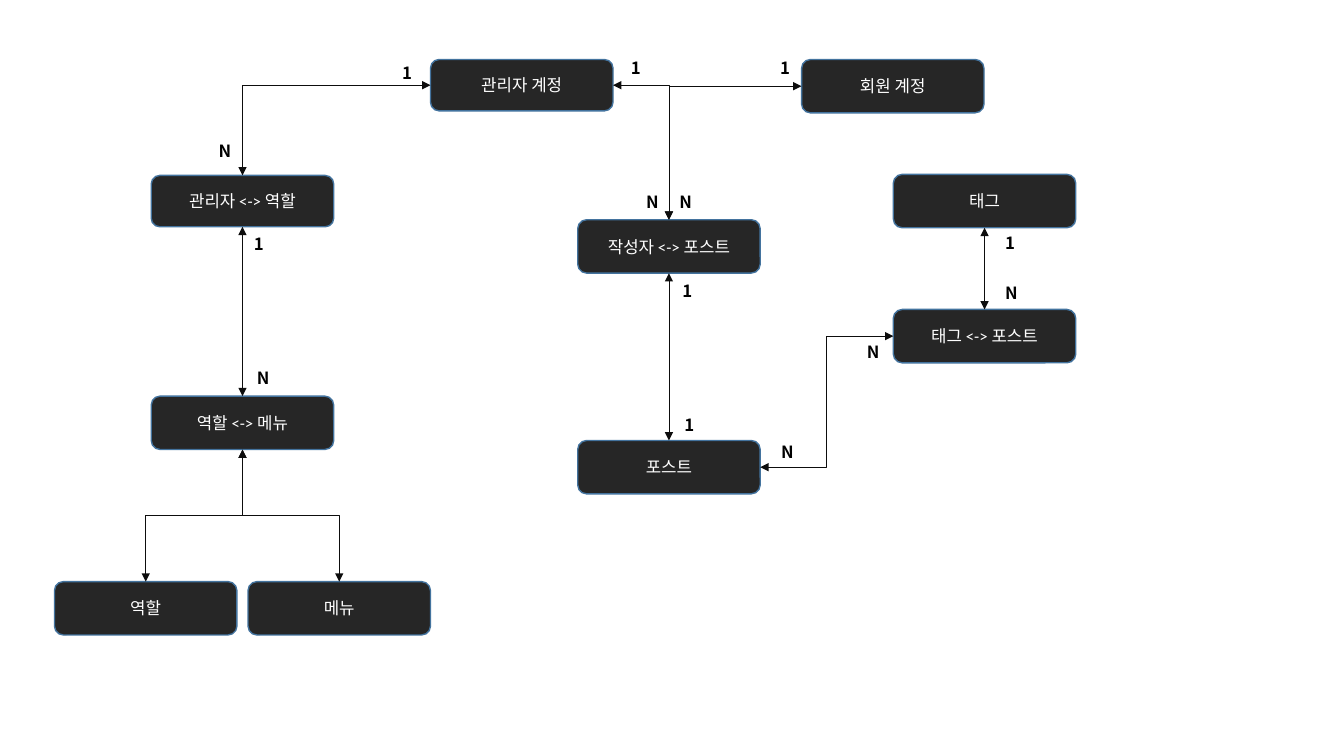
from dataclasses import dataclass
from enum import Enum

from lxml import etree
from pptx import Presentation
from pptx.dml.color import RGBColor
from pptx.enum import shapes, text
from pptx.oxml import ns
from pptx.util import Inches, Pt

BLACK = RGBColor(0x00, 0x00, 0x00)
WHITE = RGBColor(0xFF, 0xFF, 0xFF)
CHARCOAL = RGBColor(0x26, 0x26, 0x26)
OUTLINE = RGBColor(0x43, 0x73, 0x9E)
INK = RGBColor(0x0D, 0x0D, 0x0D)
BOX_FONT = "Calibri"
LABEL_FONT = "Noto Sans CJK SC"
BOX_WIDTH = 1.81
LABEL_WIDTHS = {"1": 0.29, "N": 0.33}
TOP, LEFT, BOTTOM, RIGHT = range(4)


class Route(Enum):
    STRAIGHT = "line"
    CORNER = "bentConnector2"
    ACROSS = "bentConnector3"
    DOWN = "bentConnector3 turned"


@dataclass(frozen=True)
class Entity:
    name: str
    left: float
    top: float
    height: float = 0.53


@dataclass(frozen=True)
class Link:
    start: str
    start_side: int
    end: str
    end_side: int
    route: Route


@dataclass(frozen=True)
class Label:
    mark: str
    left: float
    top: float


ENTITIES = [
    Entity("관리자 계정", 4.27, 0.59, 0.51),
    Entity("회원 계정", 7.95, 0.59),
    Entity("포스트", 5.73, 4.37),
    Entity("역할", 0.54, 5.77),
    Entity("메뉴", 2.46, 5.77),
    Entity("관리자 <-> 역할", 1.5, 1.74, 0.51),
    Entity("역할 <-> 메뉴", 1.5, 3.93),
    Entity("태그", 8.86, 1.73),
    Entity("태그 <-> 포스트", 8.86, 3.07),
    Entity("작성자 <-> 포스트", 5.73, 2.18),
]

LINKS = [
    Link("관리자 계정", LEFT, "관리자 <-> 역할", TOP, Route.CORNER),
    Link("역할 <-> 메뉴", BOTTOM, "역할", TOP, Route.DOWN),
    Link("역할 <-> 메뉴", BOTTOM, "메뉴", TOP, Route.DOWN),
    Link("관리자 계정", RIGHT, "작성자 <-> 포스트", TOP, Route.CORNER),
    Link("회원 계정", LEFT, "작성자 <-> 포스트", TOP, Route.CORNER),
    Link("포스트", RIGHT, "태그 <-> 포스트", LEFT, Route.ACROSS),
    Link("태그 <-> 포스트", TOP, "태그", BOTTOM, Route.STRAIGHT),
    Link("관리자 <-> 역할", BOTTOM, "역할 <-> 메뉴", TOP, Route.STRAIGHT),
    Link("작성자 <-> 포스트", BOTTOM, "포스트", TOP, Route.STRAIGHT),
]

LABELS = [
    Label("1", 3.89, 0.57),
    Label("N", 2.07, 1.35),
    Label("1", 2.42, 2.27),
    Label("N", 2.45, 3.6),
    Label("1", 6.16, 0.52),
    Label("N", 6.31, 1.85),
    Label("1", 7.64, 0.52),
    Label("N", 6.64, 1.85),
    Label("N", 7.65, 4.33),
    Label("N", 8.5, 3.34),
    Label("1", 9.87, 2.26),
    Label("N", 9.87, 2.76),
    Label("1", 6.67, 2.74),
    Label("1", 6.69, 4.07),
]


def add_span(para, words: str, font: str, color: RGBColor, bold: bool = False) -> None:
    span = para.add_run()
    span.text = words
    span.font.name = font
    span.font.size = Pt(12)
    span.font.bold = bold
    span.font.color.rgb = color


def draw_entity(page, entity: Entity):
    box = page.shapes.add_shape(
        shapes.MSO_SHAPE.ROUNDED_RECTANGLE,
        Inches(entity.left), Inches(entity.top),
        Inches(BOX_WIDTH), Inches(entity.height),
    )
    box.shadow.inherit = False
    box.fill.solid()
    box.fill.fore_color.rgb = CHARCOAL
    box.line.color.rgb = OUTLINE
    box.line.width = Pt(1)
    box.text_frame.vertical_anchor = text.MSO_ANCHOR.MIDDLE
    para = box.text_frame.paragraphs[0]
    para.alignment = text.PP_ALIGN.CENTER
    add_span(para, entity.name, BOX_FONT, WHITE)
    return box


def turn_downward(connector) -> None:
    across = connector.end_x - connector.begin_x
    down = connector.end_y - connector.begin_y
    middle_x = (connector.begin_x + connector.end_x) // 2
    middle_y = (connector.begin_y + connector.end_y) // 2
    connector.width, connector.height = abs(down), abs(across)
    connector.left = middle_x - abs(down) // 2
    connector.top = middle_y - abs(across) // 2
    frame = connector.element.spPr.find(ns.qn("a:xfrm"))
    frame.set("rot", str(90 * 60000))
    frame.set("flipH", str(int(down < 0)))
    frame.set("flipV", str(int(across > 0)))


def draw_link(page, link: Link, boxes: dict) -> None:
    kind = shapes.MSO_CONNECTOR.ELBOW
    if link.route is Route.STRAIGHT:
        kind = shapes.MSO_CONNECTOR.STRAIGHT
    connector = page.shapes.add_connector(kind, 0, 0, 0, 0)
    connector.begin_connect(boxes[link.start], link.start_side)
    connector.end_connect(boxes[link.end], link.end_side)
    properties = connector.element.spPr
    if link.route is Route.CORNER:
        properties.find(ns.qn("a:prstGeom")).set("prst", link.route.value)
    elif link.route is Route.DOWN:
        turn_downward(connector)
    connector.line.color.rgb = INK
    connector.line.width = Pt(0.5)
    stroke = properties.find(ns.qn("a:ln"))
    for end in ("a:headEnd", "a:tailEnd"):
        etree.SubElement(stroke, ns.qn(end), type="triangle")
    etree.SubElement(properties, ns.qn("a:effectLst"))


def draw_label(page, label: Label) -> None:
    box = page.shapes.add_textbox(
        Inches(label.left), Inches(label.top),
        Inches(LABEL_WIDTHS[label.mark]), Inches(0.3),
    )
    box.text_frame.word_wrap = False
    box.text_frame.auto_size = text.MSO_AUTO_SIZE.SHAPE_TO_FIT_TEXT
    add_span(box.text_frame.paragraphs[0], label.mark, LABEL_FONT, BLACK, bold=True)


def main() -> None:
    deck = Presentation()
    deck.slide_width = Inches(13.33)
    deck.slide_height = Inches(7.5)
    page = deck.slides.add_slide(deck.slide_layouts[6])
    boxes = {entity.name: draw_entity(page, entity) for entity in ENTITIES}
    for link in LINKS:
        draw_link(page, link, boxes)
    for label in LABELS:
        draw_label(page, label)
    deck.save("out.pptx")


if __name__ == "__main__":
    main()
